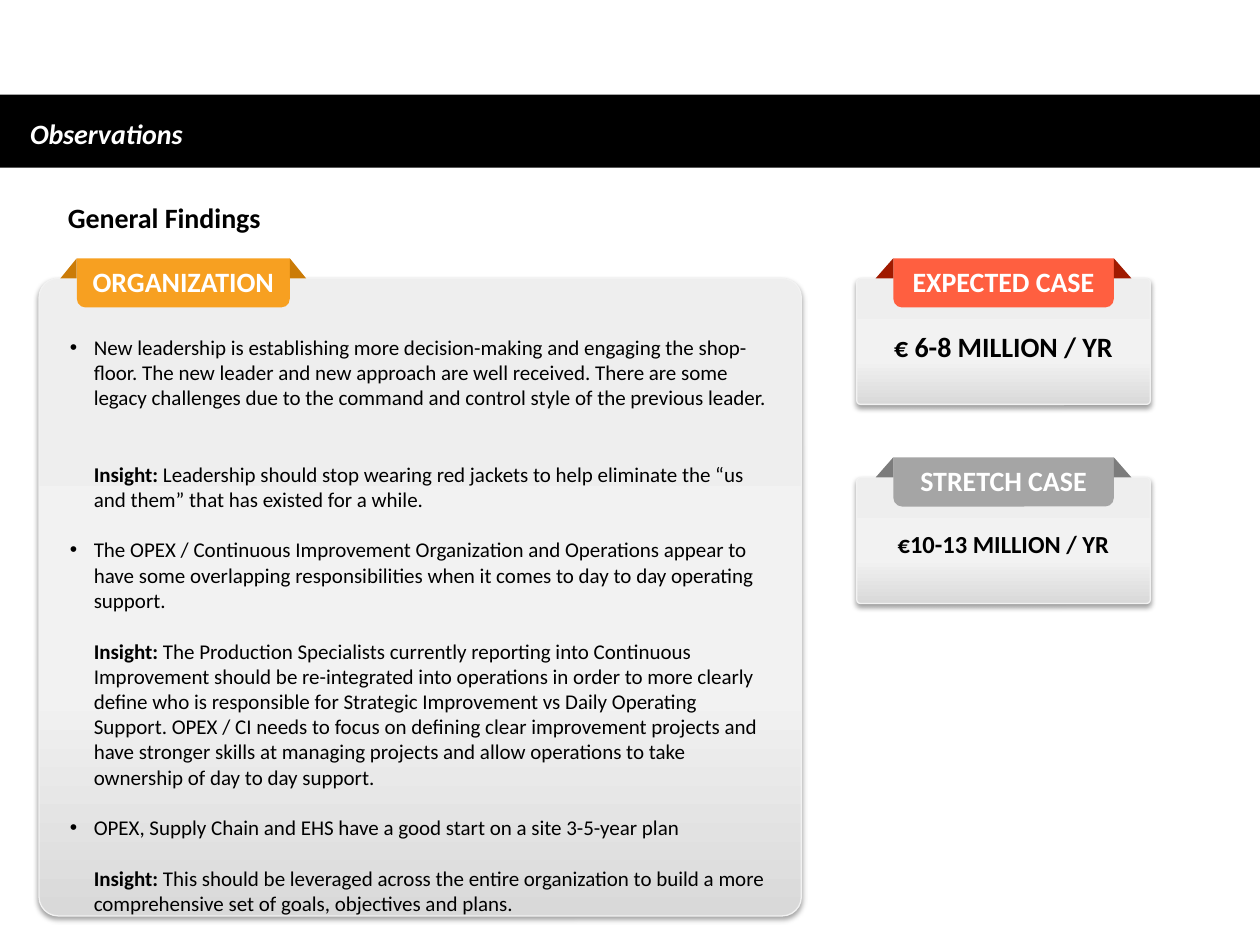
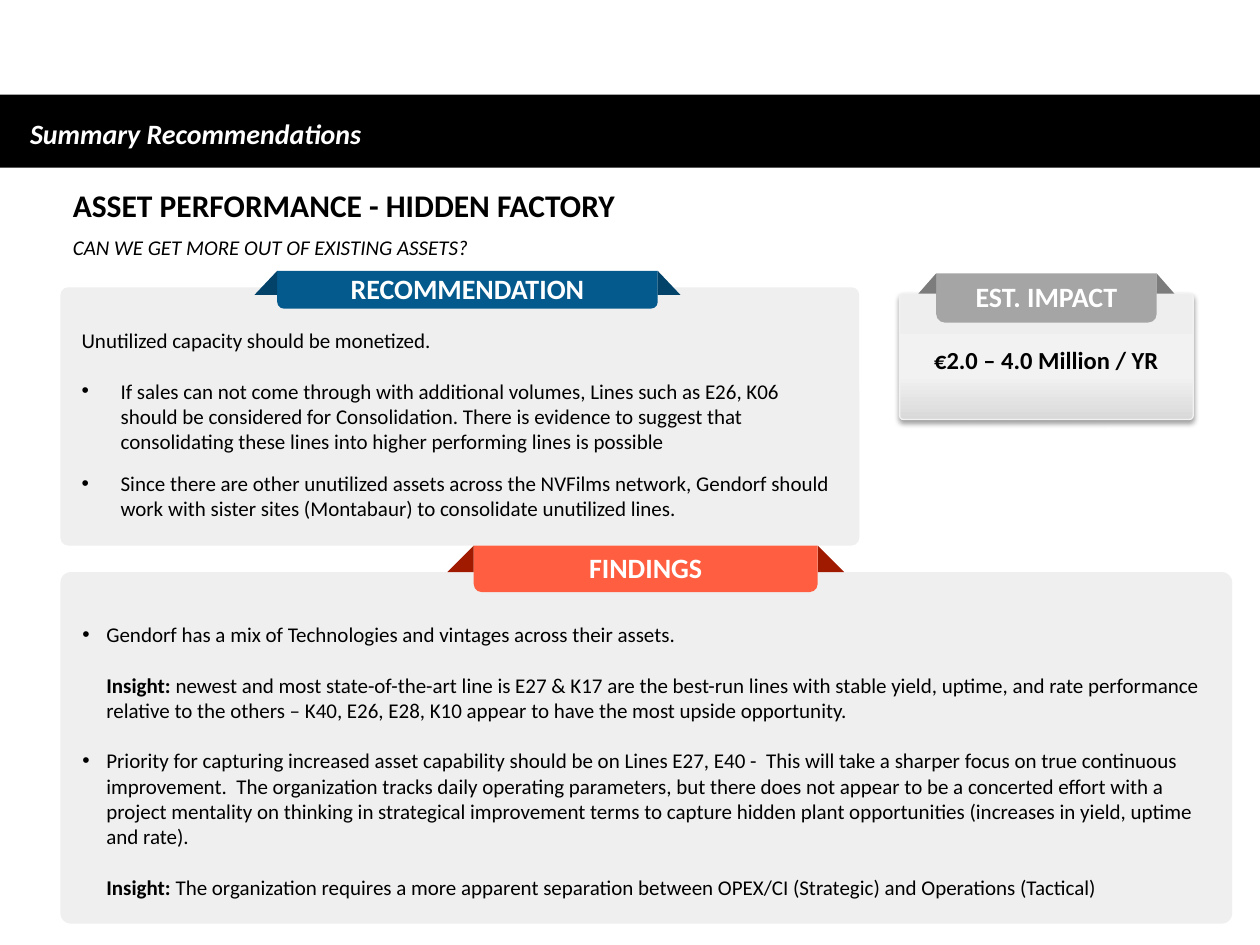
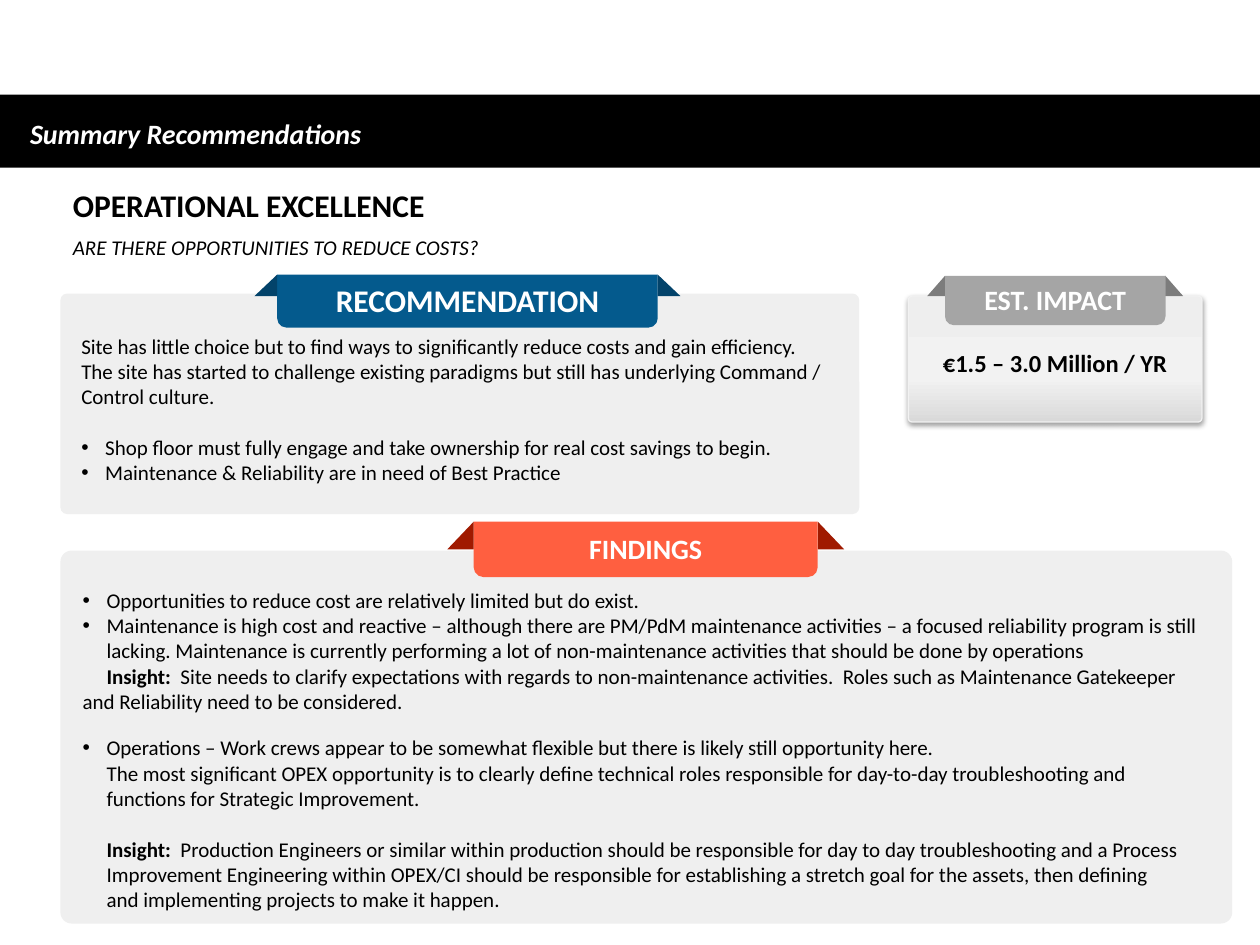
from lxml.etree import SubElement
from pptx import Presentation
from pptx.dml.color import RGBColor
from pptx.enum.shapes import MSO_SHAPE as SHAPE
from pptx.enum.text import MSO_ANCHOR as ANCHOR, PP_ALIGN as ALIGN
from pptx.oxml.ns import qn
from pptx.util import Inches, Pt

BLACK = RGBColor(0x00, 0x00, 0x00)
WHITE = RGBColor(0xFF, 0xFF, 0xFF)
PANEL_GREY = RGBColor(0xEF, 0xEF, 0xEF)
CARD_EDGE = RGBColor(0xF2, 0xF2, 0xF2)
CARD_STOPS = [(0, RGBColor(0xD9, 0xD9, 0xD9)), (35, CARD_EDGE), (100, RGBColor(0xEE, 0xEE, 0xEE))]

# Ribbon colour and the darker colour of its folds
ORANGE = RGBColor(0xF7, 0xA0, 0x21), RGBColor(0xCB, 0x7B, 0x07)
RED = RGBColor(0xFF, 0x5F, 0x40), RGBColor(0xA0, 0x1A, 0x00)
GREY = RGBColor(0xA5, 0xA5, 0xA5), RGBColor(0x7C, 0x7C, 0x7C)
BLUE = RGBColor(0x04, 0x5A, 0x8D), RGBColor(0x03, 0x43, 0x6A)

FONT = "Calibri"
CARD_INSETS = 0.2, 0.4, 0.2, 0.05
PANEL_INSETS = 0.15, 0.3, 0.15, 0.1
INSIGHT = "Insight:"
LINE = 14.6  # points between paragraphs that stand one line apart

# Paragraph kinds: left margin and first-line indent as multiples of the indent
BULLET, INDENTED, PLAIN, FIRST_LINE = (1, -1), (1, 0), (0, 0), (0, 1)

# Paragraphs: kind, points before, text
SLIDES = [
    {
        "band": "Observations",
        "headings": [("General Findings", (0.44, 1.54, 8.94, 0.37), {"size": Pt(16), "bold": True})],
        "panels": [
            {
                "box": (0.31, 2.21, 6.05, 5.06), "card": True,
                "ribbon": ("ORGANIZATION", ORANGE, (0.61, 2.05, 1.69, 0.39), (0.13, 0.16)),
                "body": [
                    (BULLET, 0, "New leadership is establishing more decision-making and engaging the "
                     "shop-floor. The new leader and new approach are well received. There are some "
                     "legacy challenges due to the command and control style of the previous leader."),
                    (INDENTED, 2 * LINE, "Insight: Leadership should stop wearing red jackets to help "
                     "eliminate the “us and them” that has existed for a while."),
                    (BULLET, LINE, "The OPEX / Continuous Improvement Organization and Operations appear "
                     "to have some overlapping responsibilities when it comes to day to day operating "
                     "support."),
                    (INDENTED, LINE, "Insight: The Production Specialists currently reporting into "
                     "Continuous Improvement should be re-integrated into operations in order to more "
                     "clearly define who is responsible for Strategic Improvement vs Daily Operating "
                     "Support. OPEX / CI needs to focus on defining clear improvement projects and have "
                     "stronger skills at managing projects and allow operations to take ownership of day "
                     "to day support."),
                    (BULLET, LINE, "OPEX, Supply Chain and EHS have a good start on a site 3-5-year plan"),
                    (INDENTED, LINE, "Insight: This should be leveraged across the entire organization to "
                     "build a more comprehensive set of goals, objectives and plans."),
                ],
            },
        ],
        "cases": [
            ("EXPECTED CASE", RED, "€ 6-8 MILLION / YR", 16, (6.8, 2.21)),
            ("STRETCH CASE", GREY, "€10-13 MILLION / YR", 14, (6.8, 3.79)),
        ],
    },
    {
        "band": "Summary Recommendations",
        "topic": ("ASSET PERFORMANCE - HIDDEN FACTORY", "CAN WE GET MORE OUT OF EXISTING ASSETS?"),
        "panels": [
            {
                "box": (0.48, 2.28, 6.34, 2.05), "indent": 0.31,
                "ribbon": ("RECOMMENDATION", BLUE, (2.2, 2.15, 3.02, 0.3), (0.18, 0.19)),
                "body": [
                    (PLAIN, 0, "Unutilized capacity should be monetized."),
                    (BULLET, LINE, "If sales can not come through with additional volumes, Lines such as "
                     "E26, K06 should be considered for Consolidation. There is evidence to suggest that "
                     "consolidating these lines into higher performing lines is possible"),
                    (BULLET, 9.8, "Since there are other unutilized assets across the NVFilms network, "
                     "Gendorf should work with sister sites (Montabaur) to consolidate unutilized lines."),
                ],
            },
            {
                "box": (0.48, 4.54, 9.3, 2.79), "anchor": ANCHOR.MIDDLE,
                "ribbon": ("FINDINGS", RED, (3.76, 4.33, 2.73, 0.37), (0.21, 0.21)),
                "body": [
                    (BULLET, 0, "Gendorf has a mix of Technologies and vintages across their assets."),
                    (INDENTED, LINE, "Insight: newest and most state-of-the-art line is E27 & K17 are the "
                     "best-run lines with stable yield, uptime, and rate performance relative to the "
                     "others – K40, E26, E28, K10 appear to have the most upside opportunity."),
                    (BULLET, LINE, "Priority for capturing increased asset capability should be on Lines "
                     "E27, E40 -  This will take a sharper focus on true continuous improvement.  The "
                     "organization tracks daily operating parameters, but there does not appear to be a "
                     "concerted effort with a project mentality on thinking in strategical improvement "
                     "terms to capture hidden plant opportunities (increases in yield, uptime and rate)."),
                    (INDENTED, LINE, "Insight: The organization requires a more apparent separation "
                     "between OPEX/CI (Strategic) and Operations (Tactical)"),
                ],
            },
        ],
        "cases": [("EST. IMPACT", GREY, "€2.0 – 4.0 Million / YR", 14, (7.14, 2.33))],
    },
    {
        "band": "Summary Recommendations",
        "topic": ("OPERATIONAL EXCELLENCE", "ARE THERE OPPORTUNITIES TO REDUCE COSTS?"),
        "panels": [
            {
                "box": (0.48, 2.33, 6.34, 1.75), "ribbon_size": 18,
                "ribbon": ("RECOMMENDATION", BLUE, (2.2, 2.18, 3.02, 0.42), (0.18, 0.17)),
                "body": [
                    (PLAIN, 0, "Site has little choice but to find ways to significantly reduce costs and "
                     "gain efficiency."),
                    (PLAIN, 0, "The site has started to challenge existing paradigms but still has "
                     "underlying Command / Control culture."),
                    (BULLET, LINE, "Shop floor must fully engage and take ownership for real cost savings "
                     "to begin."),
                    (BULLET, 0, "Maintenance & Reliability are in need of Best Practice"),
                ],
            },
            {
                "box": (0.48, 4.37, 9.3, 2.96), "anchor": ANCHOR.MIDDLE,
                "ribbon": ("FINDINGS", RED, (3.76, 4.14, 2.73, 0.44), (0.21, 0.22)),
                "body": [
                    (BULLET, 0, "Opportunities to reduce cost are relatively limited but do exist."),
                    (BULLET, 0, "Maintenance is high cost and reactive – although there are PM/PdM "
                     "maintenance activities – a focused reliability program is still lacking. Maintenance "
                     "is currently performing a lot of non-maintenance activities that should be done by "
                     "operations"),
                    (FIRST_LINE, 0, "Insight:  Site needs to clarify expectations with regards to "
                     "non-maintenance activities.  Roles such as Maintenance Gatekeeper\n"
                     "and Reliability need to be considered."),
                    (BULLET, 12.2, "Operations – Work crews appear to be somewhat flexible but there is "
                     "likely still opportunity here."),
                    (INDENTED, 0, "The most significant OPEX opportunity is to clearly define technical "
                     "roles responsible for day-to-day troubleshooting and functions for Strategic "
                     "Improvement."),
                    (INDENTED, LINE, "Insight:  Production Engineers or similar within production should "
                     "be responsible for day to day troubleshooting and a Process\nImprovement Engineering "
                     "within OPEX/CI should be responsible for establishing a stretch goal for the assets, "
                     "then defining\nand implementing projects to make it happen."),
                ],
            },
        ],
        "cases": [("EST. IMPACT", GREY, "€1.5 – 3.0 Million / YR", 14, (7.21, 2.35))],
    },
]


def add_run(paragraph, text, **formats):
    run = paragraph.add_run()
    run.text = text
    color = formats.pop("color", BLACK)
    for name, value in {"name": FONT, "size": Pt(12), **formats}.items():
        setattr(run.font, name, value)
    run.font.color.rgb = color


def add_heading(slide, text, box, **formats):
    frame = slide.shapes.add_textbox(*map(Inches, box)).text_frame
    frame.word_wrap = True
    add_run(frame.paragraphs[0], text, **formats)


def add_block(slide, preset, box, fill, adjustments=()):
    """Add a plain filled preset shape without line or shadow."""
    block = slide.shapes.add_shape(preset, *map(Inches, box))
    block.shadow.inherit = False
    block.fill.solid()
    block.fill.fore_color.rgb = fill
    block.line.fill.background()
    for i, value in enumerate(adjustments):
        block.adjustments[i] = value
    return block


def make_card(block):
    """Give a block the grey gradient, light edge and soft shadow of a card."""
    block.fill.gradient()
    block.fill.gradient_angle = 90
    block.line.color.rgb = CARD_EDGE
    block.line.width = Pt(0.75)
    properties = block._element.spPr
    stops = properties.find(qn("a:gradFill")).find(qn("a:gsLst"))
    stops.clear()
    for position, color in CARD_STOPS:
        stop = SubElement(stops, qn("a:gs"), pos=str(position * 1000))
        SubElement(stop, qn("a:srgbClr"), val=str(color))
    shadow = SubElement(properties.find(qn("a:effectLst")), qn("a:outerShdw"), blurRad=str(Pt(3.1)),
                        dist=str(Pt(1.6)), dir="5400000", rotWithShape="0")
    SubElement(SubElement(shadow, qn("a:srgbClr"), val=str(BLACK)), qn("a:alpha"), val="38000")


def add_panel(slide, box, card, anchor=ANCHOR.TOP):
    """Add a rounded panel and return its empty text frame."""
    panel = add_block(slide, SHAPE.ROUNDED_RECTANGLE, box, PANEL_GREY, [0.03])
    if card:
        make_card(panel)
    frame = panel.text_frame
    frame.word_wrap = True
    frame.vertical_anchor = anchor
    sides = "margin_left", "margin_top", "margin_right", "margin_bottom"
    for side, inset in zip(sides, CARD_INSETS if card else PANEL_INSETS):
        setattr(frame, side, Inches(inset))
    return frame


def write_body(frame, body, indent):
    for i, (kind, before, text) in enumerate(body):
        paragraph = frame.add_paragraph() if i else frame.paragraphs[0]
        paragraph.alignment = ALIGN.LEFT
        properties = paragraph._p.get_or_add_pPr()
        for name, factor in zip(("marL", "indent"), kind):
            properties.set(name, str(Inches(factor * indent)))
        if kind == BULLET:
            SubElement(properties, qn("a:buFont"), typeface="Arial")
            SubElement(properties, qn("a:buChar"), char="•")
        if before:
            paragraph.space_before = Pt(before)
        if text.startswith(INSIGHT):
            add_run(paragraph, INSIGHT, bold=True)
            text = text.removeprefix(INSIGHT)
        for j, line in enumerate(text.split("\n")):
            if j:
                paragraph.add_line_break()
            add_run(paragraph, line)


def add_ribbon(slide, label, colors, box, fold, size=16):
    left, top, width, _ = box
    fold_width, fold_height = fold
    front, back = colors
    ribbon = add_block(slide, SHAPE.ROUND_2_SAME_RECTANGLE, box, front, [0, 0.176])
    frame = ribbon.text_frame
    frame.word_wrap = True
    frame.vertical_anchor = ANCHOR.MIDDLE
    frame.paragraphs[0].alignment = ALIGN.CENTER
    add_run(frame.paragraphs[0], label, size=Pt(size), bold=True, color=WHITE)
    for fold_left, flipped in ((left - fold_width, True), (left + width, False)):
        triangle = add_block(slide, SHAPE.RIGHT_TRIANGLE, (fold_left, top, fold_width, fold_height), back)
        if flipped:
            triangle._element.spPr.xfrm.set("flipH", "1")


def add_case(slide, label, colors, amount, size, corner):
    """Add a small card with an amount under a ribbon."""
    left, top = corner
    paragraph = add_panel(slide, (left, top, 2.33, 1), True).paragraphs[0]
    paragraph.alignment = ALIGN.CENTER
    add_run(paragraph, amount, size=Pt(size), bold=True)
    add_ribbon(slide, label, colors, (left + 0.29, top - 0.16, 1.75, 0.39), (0.14, 0.16))


def topic_headings(topic, question):
    return [
        (topic, (0.48, 1.43, 7.16, 0.4), {"size": Pt(18), "bold": True}),
        (question, (0.48, 1.81, 7.5, 0.3), {"italic": True}),
    ]


def build_slide(deck, content):
    slide = deck.slides.add_slide(deck.slide_layouts[6])
    add_block(slide, SHAPE.RECTANGLE, (0, 0.75, 10, 0.58), BLACK)
    add_heading(slide, content["band"], (0.14, 0.88, 9.17, 0.37),
                size=Pt(16), bold=True, italic=True, color=WHITE)
    for text, box, formats in content.get("headings") or topic_headings(*content["topic"]):
        add_heading(slide, text, box, **formats)
    for panel in content["panels"]:
        frame = add_panel(slide, panel["box"], panel.get("card", False), panel.get("anchor", ANCHOR.TOP))
        write_body(frame, panel["body"], panel.get("indent", 0.19))
        add_ribbon(slide, *panel["ribbon"], size=panel.get("ribbon_size", 16))
    for case in content["cases"]:
        add_case(slide, *case)


def main():
    deck = Presentation()
    deck.slide_width, deck.slide_height = Inches(10), Inches(7.5)
    for content in SLIDES:
        build_slide(deck, content)
    deck.save("out.pptx")


if __name__ == "__main__":
    main()
